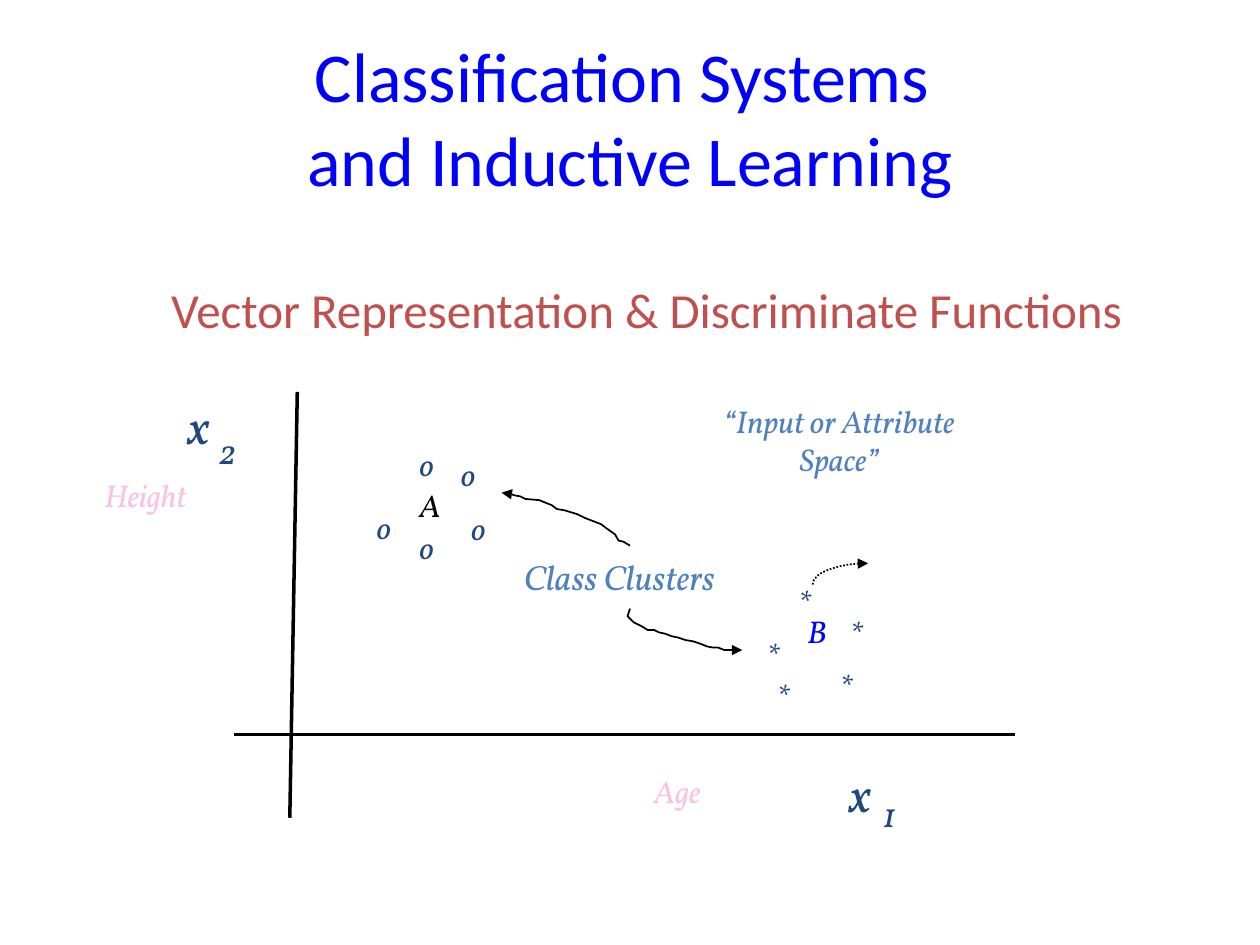
from math import cos, pi, sin

from pptx import Presentation
from pptx.dml.color import RGBColor
from pptx.enum.dml import MSO_LINE
from pptx.enum.shapes import MSO_CONNECTOR
from pptx.enum.text import MSO_ANCHOR, MSO_AUTO_SIZE, PP_ALIGN
from pptx.oxml.ns import qn
from pptx.util import Pt
from lxml.etree import SubElement

THEME = {
    "sans": "Calibri", "serif": "Vollkorn",
    "blue": "0000FF", "red": "C0504D", "navy": "1F497D",
    "sky": "4F81BD", "pink": "FDC0E5", "black": "000000",
    "title": 40, "head": 28, "label": 20, "note": 18,
}

TITLE = ("Classification Systems \vand Inductive Learning", (36, 21.6, 648, 90))
HEAD = ("Vector Representation & Discriminate Functions", (66.24, 156.24, 606.24, 54))

LABELS = [
    ("x", (100.1, 222.5, 29.5, 41.8), "head", "navy"),
    ("x", (478.1, 432.7, 29.5, 41.8), "head", "navy"),
    ("Height", (52.6, 268.6, 82.1, 36.7), "note", "pink"),
    ("Age", (366.5, 437.8, 54, 36.7), "note", "pink"),
    ("2", (118.1, 241.9, 25.2, 31.7), "label", "navy"),
    ("1", (497.5, 449.3, 23.8, 31.7), "label", "navy"),
    ("Class Clusters", (292.3, 313.9, 131, 31.7), "label", "sky"),
    ("A", (232.6, 274.3, 32.4, 36.7), "note", "black"),
    ("B", (454.3, 346.3, 36.7, 28.8), "note", "blue"),
]
SPACE = ("“Input or Attribute\nSpace”", (377.3, 226.1, 204.5, 64.8))

MARKS = {
    "o": (25.9, [(232.6, 298.1), (232.6, 250.6), (256.3, 256.3),
                 (262.1, 287.3), (208.1, 286.6)]),
    "*": (24.5, [(448.6, 328.3), (430.6, 358.6), (436.3, 382.3),
                 (478.1, 346.3), (472.3, 376.6)]),
}

AXES = [((169.9, 223.9), (165.6, 467.3)), ((133.9, 419.8), (580.3, 419.8))]

TO_A = [
    (360, 311.8), (356.4, 309.6), (353.5, 308.9), (351.4, 305.3), (346.3, 301.7),
    (343.4, 299.5), (334.1, 295.9), (329.8, 293.8), (322.6, 291.6), (318.2, 290.9),
    (315.4, 288.7), (311.8, 287.3), (308.2, 285.8), (300.2, 285.1), (297.4, 283.7),
    (293.8, 283), (290.2, 281.5), (286.6, 281.5),
]
TO_B = [
    (360, 347.8), (358.6, 352.1), (362.2, 355.7), (366.5, 357.8), (370.1, 360),
    (373.7, 360), (376.6, 361.4), (380.2, 362.2), (383.8, 363.6), (387.4, 364.3),
    (391.7, 365.8), (396, 366.5), (400.3, 367.9), (403.9, 369.4), (407.5, 370.1),
    (410.4, 370.1), (414, 371.5), (417.6, 371.5), (420.5, 371.5), (424.1, 371.5),
]
ARC = {"mid": (496.1, 334.1), "wide": 31.7, "high": 12.2, "steps": 16}


def tint(name):
    return RGBColor.from_string(THEME[name])


def add_text(slide, text, at, *, size="note", color="navy", font="serif",
             slant=True, align=PP_ALIGN.LEFT, anchor=MSO_ANCHOR.TOP,
             wrap=False, grow=True, hang=0):
    box = slide.shapes.add_textbox(*map(Pt, at))
    frame = box.text_frame
    frame.text = text
    frame.word_wrap = wrap
    frame.vertical_anchor = anchor
    frame.auto_size = MSO_AUTO_SIZE.SHAPE_TO_FIT_TEXT if grow else MSO_AUTO_SIZE.NONE
    for para in frame.paragraphs:
        para.alignment = align
        if hang:
            props = para._p.get_or_add_pPr()
            props.set("marL", str(Pt(hang)))
            props.set("indent", str(-Pt(hang)))
        for run in para.runs:
            run.font.name = THEME[font]
            run.font.size = Pt(THEME[size])
            run.font.italic = slant
            run.font.color.rgb = tint(color)


def add_axis(slide, start, end):
    line = slide.shapes.add_connector(MSO_CONNECTOR.STRAIGHT, *map(Pt, start + end))
    line.line.color.rgb = tint("black")
    line.line.width = Pt(2)
    SubElement(line._element.spPr, qn("a:effectLst"))


def add_curve(slide, points, dash=None):
    dots = [(x * 10, y * 10) for x, y in points]
    pen = slide.shapes.build_freeform(*dots[0], scale=Pt(1) / 10)
    pen.add_line_segments(dots[1:], close=False)
    curve = pen.convert_to_shape()
    curve.shadow.inherit = False
    curve.fill.background()
    curve.line.color.rgb = tint("black")
    curve.line.width = Pt(1)
    if dash:
        curve.line.dash_style = dash
    SubElement(curve.line._get_or_add_ln(), qn("a:tailEnd"), type="triangle")


def arc_points(mid, wide, high, steps):
    turns = [pi / 2 * i / steps for i in range(steps + 1)]
    return [(mid[0] - wide * cos(t), mid[1] - high * sin(t)) for t in turns]


def main():
    deck = Presentation()
    deck.slide_width, deck.slide_height = Pt(720), Pt(540)
    slide = deck.slides.add_slide(deck.slide_layouts[6])

    plain = {"font": "sans", "slant": False, "align": PP_ALIGN.CENTER,
             "wrap": True, "grow": False}
    add_text(slide, *TITLE, size="title", color="blue",
             anchor=MSO_ANCHOR.MIDDLE, **plain)
    add_text(slide, *HEAD, size="head", color="red", hang=27, **plain)

    for start, end in AXES:
        add_axis(slide, start, end)
    for text, at, size, color in LABELS:
        add_text(slide, text, at, size=size, color=color)
    add_text(slide, *SPACE, color="sky", align=PP_ALIGN.CENTER)
    for mark, (width, spots) in MARKS.items():
        for x, y in spots:
            add_text(slide, mark, (x, y, width, 36.7))

    add_curve(slide, TO_A)
    add_curve(slide, TO_B)
    add_curve(slide, arc_points(**ARC), MSO_LINE.ROUND_DOT)
    deck.save("out.pptx")


if __name__ == "__main__":
    main()
